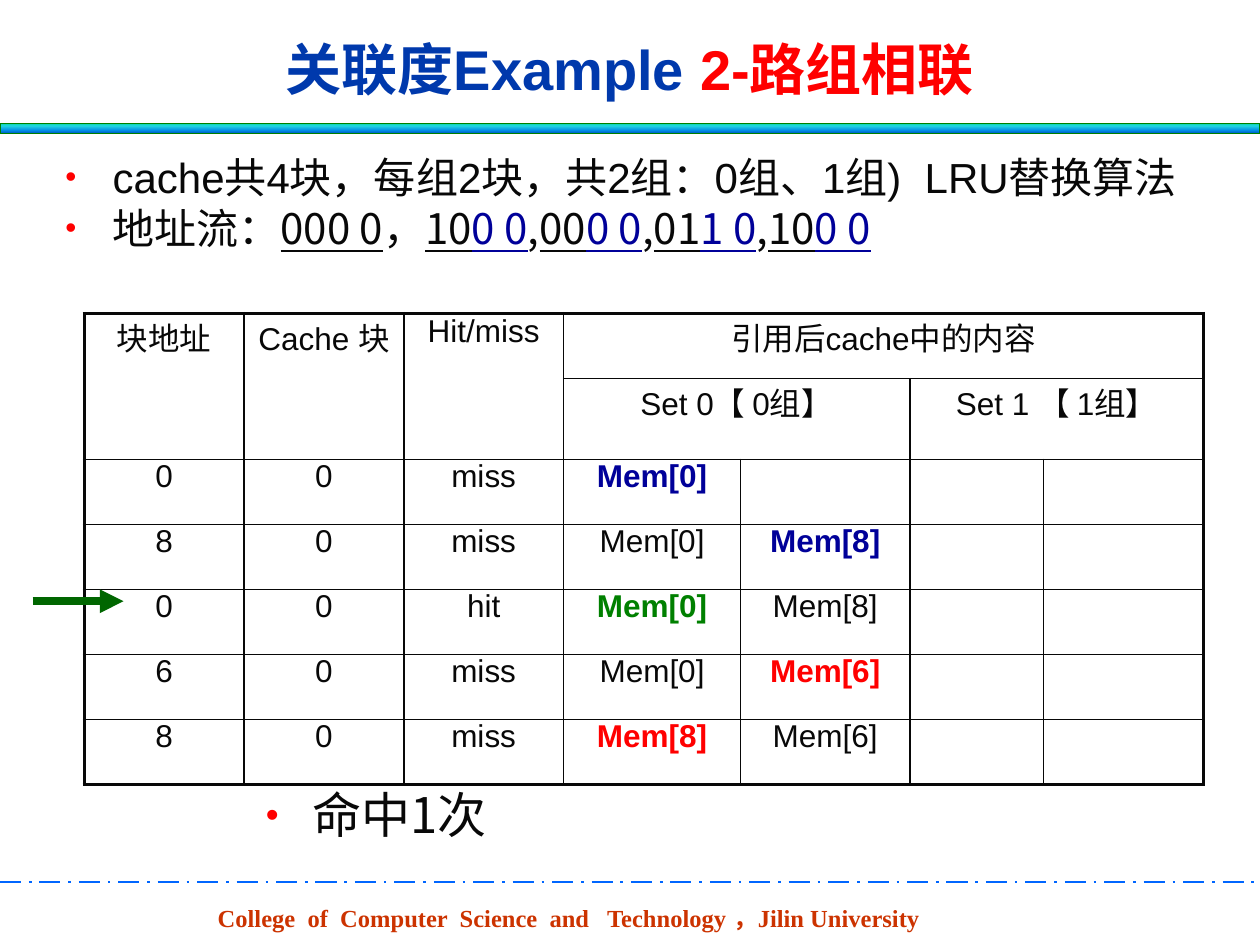
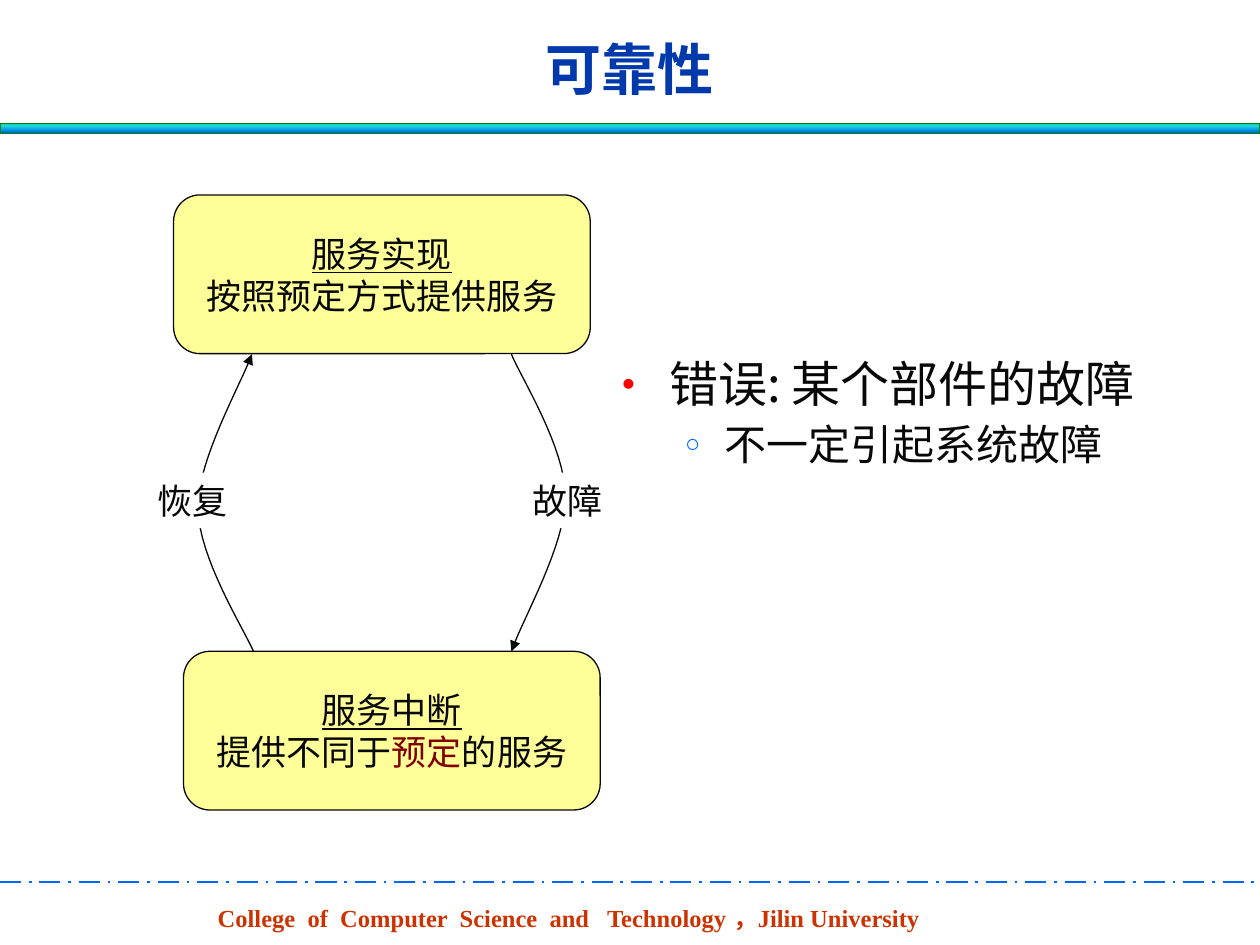
from dataclasses import dataclass
from typing import NamedTuple

from lxml.etree import SubElement
from pptx import Presentation
from pptx.dml.color import RGBColor
from pptx.enum.dml import MSO_LINE
from pptx.enum.shapes import MSO_CONNECTOR, MSO_SHAPE
from pptx.enum.text import MSO_ANCHOR, PP_ALIGN
from pptx.oxml.ns import qn
from pptx.util import Cm, Pt

COLORS = {
    "text": "080808", "title": "0039AC", "red": "FF0000", "navy": "000099",
    "green": "008000", "arrow": "006600", "maroon": "800000", "blue": "0066FF",
    "footer": "CC3300", "box": "FFFF99", "white": "FFFFFF",
}
BAND_STOPS = ((0, "03D4A8"), (25, "21D6E0"), (75, "0087E6"), (100, "005CBF"))
SANS, CJK, SERIF = "Arial", "Noto Sans CJK SC", "Times New Roman"
SLIDE_WIDTH, SLIDE_HEIGHT = 25.4, 19.05


class Box(NamedTuple):
    """Left, top, width and height in centimetres."""
    left: float
    top: float
    width: float
    height: float

    def lengths(self) -> tuple:
        return tuple(Cm(value) for value in self)


class Run(NamedTuple):
    text: str
    color: str | None = None
    underline: bool = False
    font: str | None = None


class Bullet(NamedTuple):
    char: str
    color: str
    percent: int
    indent: float
    hanging: float


DOT = Bullet("•", "red", 75, 0.95, 0.95)
RING = Bullet("○", "blue", 60, 2.06, 0.79)


@dataclass
class Line:
    """One paragraph and its style."""
    runs: list[Run]
    size: float
    font: str = SANS
    color: str = "text"
    bold: bool = False
    align: PP_ALIGN = PP_ALIGN.LEFT
    bullet: Bullet | None = None
    spacing: float | None = None
    before: float = 0


class Entry(NamedTuple):
    """A table cell: row and column spans follow its text."""
    row: int
    column: int
    text: str
    color: str = "text"
    rows: int = 1
    columns: int = 1


def rgb(name: str) -> RGBColor:
    return RGBColor.from_string(COLORS[name])


def add_bullet(paragraph, bullet: Bullet) -> None:
    properties = paragraph._p.get_or_add_pPr()
    properties.set("marL", str(Cm(bullet.indent)))
    properties.set("indent", str(-Cm(bullet.hanging)))
    color = SubElement(properties, qn("a:buClr"))
    SubElement(color, qn("a:srgbClr"), val=COLORS[bullet.color])
    SubElement(properties, qn("a:buSzPct"), val=str(bullet.percent * 1000))
    SubElement(properties, qn("a:buFont"), typeface=SANS)
    SubElement(properties, qn("a:buChar"), char=bullet.char)


def write(frame, lines: list[Line]) -> None:
    for index, line in enumerate(lines):
        paragraph = frame.add_paragraph() if index else frame.paragraphs[0]
        paragraph.alignment = line.align
        if line.spacing:
            paragraph.line_spacing = line.spacing
        if index and line.before:
            paragraph.space_before = Pt(line.before)
        if line.bullet:
            add_bullet(paragraph, line.bullet)
        font = paragraph.font
        font.name, font.size, font.bold = line.font, Pt(line.size), line.bold
        font.color.rgb = rgb(line.color)
        for part in line.runs:
            run = paragraph.add_run()
            run.text = part.text
            if part.color:
                run.font.color.rgb = rgb(part.color)
            if part.underline:
                run.font.underline = True
            if part.font:
                run.font.name = part.font


def add_text(slide, box: Box, lines: list[Line], anchor=MSO_ANCHOR.TOP, inset: float = 0.13) -> None:
    frame = slide.shapes.add_textbox(*box.lengths()).text_frame
    frame.word_wrap = True
    frame.vertical_anchor = anchor
    frame.margin_top = Cm(inset)
    write(frame, lines)


def add_block(slide, kind: MSO_SHAPE, box: Box, fill: str, lines: list[Line], outline: str | None = None) -> None:
    shape = slide.shapes.add_shape(kind, *box.lengths())
    shape.shadow.inherit = False
    shape.fill.solid()
    shape.fill.fore_color.rgb = rgb(fill)
    if outline:
        shape.line.color.rgb = rgb(outline)
        shape.line.width = Pt(0.75)
    else:
        shape.line.fill.background()
    shape.text_frame.word_wrap = False
    shape.text_frame.vertical_anchor = MSO_ANCHOR.MIDDLE
    write(shape.text_frame, lines)


def add_arrowhead(shape) -> None:
    SubElement(shape.line._get_or_add_ln(), qn("a:tailEnd"), type="triangle")


def add_line(slide, start: tuple, end: tuple, color: str, width: float):
    connector = slide.shapes.add_connector(MSO_CONNECTOR.STRAIGHT, *map(Cm, start + end))
    connector.line.color.rgb = rgb(color)
    connector.line.width = Pt(width)
    SubElement(connector._element.spPr, qn("a:effectLst"))
    return connector


def add_curved_arrow(slide, points: list[tuple], steps: int = 16) -> None:
    """Trace joined cubic curves: a start, then two controls and an end for each."""
    traced = []
    for first in range(0, len(points) - 1, 3):
        for step in range(1, steps + 1):
            t = step / steps
            weights = ((1 - t) ** 3, 3 * t * (1 - t) ** 2, 3 * t * t * (1 - t), t ** 3)
            controls = points[first:first + 4]
            traced.append(tuple(
                Cm(sum(weight * point[axis] for weight, point in zip(weights, controls)))
                for axis in (0, 1)))
    builder = slide.shapes.build_freeform(*map(Cm, points[0]))
    builder.add_line_segments(traced, close=False)
    shape = builder.convert_to_shape()
    shape.shadow.inherit = False
    shape.fill.background()
    shape.line.color.rgb = rgb("text")
    shape.line.width = Pt(0.75)
    add_arrowhead(shape)


def add_band(slide) -> None:
    band = slide.shapes.add_shape(MSO_SHAPE.RECTANGLE, *Box(0, 2.49, SLIDE_WIDTH, 0.2).lengths())
    band.shadow.inherit = False
    band.line.color.rgb = rgb("green")
    band.line.width = Pt(0.75)
    band.fill.gradient()
    band.fill.gradient_angle = 270
    stops = band._element.spPr.find(".//" + qn("a:gsLst"))
    for stop in list(stops):
        stops.remove(stop)
    for position, color in BAND_STOPS:
        stop = SubElement(stops, qn("a:gs"), pos=str(position * 1000))
        SubElement(stop, qn("a:srgbClr"), val=color)


def add_base_slide(presentation, title: list[Run]):
    slide = presentation.slides.add_slide(presentation.slide_layouts[6])
    footer = "College  of  Computer  Science  and   Technology ，Jilin University"
    add_text(slide, Box(4.14, 18.08, 15.04, 0.84),
             [Line([Run(footer)], 14, SERIF, "footer", bold=True)])
    rule = add_line(slide, (0, 17.78), (SLIDE_WIDTH, 17.78), "blue", 1.5)
    rule.line.dash_style = MSO_LINE.LONG_DASH_DOT
    add_band(slide)
    add_text(slide, Box(2.9, 0.53, 19.6, 1.68),
             [Line(title, 32, color="title", bold=True, align=PP_ALIGN.CENTER)], MSO_ANCHOR.MIDDLE)
    return slide


def add_borders(cell, edges: dict[str, bool]) -> None:
    """Draw the four borders; an edge marked True is on the outside and thick."""
    properties = cell._tc.get_or_add_tcPr()
    for side, outer in edges.items():
        border = SubElement(properties, qn(f"a:ln{side}"), w=str(Pt(2.25 if outer else 1)))
        fill = SubElement(border, qn("a:solidFill"))
        SubElement(fill, qn("a:srgbClr"), val=COLORS["text"])


def add_cache_table(slide, entries: list[Entry]) -> None:
    widths = (3.22, 3.22, 3.22, 3.57, 3.41, 2.7, 3.22)
    heights = (1.31, 1.63) + (1.31,) * 5
    box = Box(1.7, 6.32, sum(widths), sum(heights))
    table = slide.shapes.add_table(len(heights), len(widths), *box.lengths()).table
    table.first_row = table.horz_banding = False
    for column, width in zip(table.columns, widths):
        column.width = Cm(width)
    for row, height in zip(table.rows, heights):
        row.height = Cm(height)
    for entry in entries:
        cell = table.cell(entry.row, entry.column)
        bottom, right = entry.row + entry.rows, entry.column + entry.columns
        if entry.rows * entry.columns > 1:
            cell.merge(table.cell(bottom - 1, right - 1))
        cell.margin_top = cell.margin_bottom = 0
        add_borders(cell, {"L": entry.column == 0, "R": right == len(widths),
                           "T": entry.row == 0, "B": bottom == len(heights)})
        cell.fill.background()
        write(cell.text_frame, [Line([Run(entry.text)] if entry.text else [], 18, color=entry.color,
                                     bold=entry.color != "text", align=PP_ALIGN.CENTER)])


def cache_entries() -> list[Entry]:
    entries = [Entry(0, column, text, rows=2)
               for column, text in enumerate(("块地址", "Cache 块", "Hit/miss"))]
    entries += [Entry(0, 3, "引用后cache中的内容", columns=4),
                Entry(1, 3, "Set 0【 0组】", columns=2),
                Entry(1, 5, "Set 1 【 1组】", columns=2)]
    accesses = (  # address, result, the two blocks of set 0, changed block, its colour
        ("0", "miss", "Mem[0]", "", 0, "navy"),
        ("8", "miss", "Mem[0]", "Mem[8]", 1, "navy"),
        ("0", "hit", "Mem[0]", "Mem[8]", 0, "green"),
        ("6", "miss", "Mem[0]", "Mem[6]", 1, "red"),
        ("8", "miss", "Mem[8]", "Mem[6]", 0, "red"),
    )
    for row, (address, result, first, second, changed, color) in enumerate(accesses, 2):
        for column, text in enumerate((address, "0", result, first, second, "", "")):
            entries.append(Entry(row, column, text, color if column == 3 + changed else "text"))
    return entries


def add_cache_slide(presentation) -> None:
    slide = add_base_slide(presentation, [Run("关联度Example "), Run("2-路组相联", "red")])
    stream = [Run("地址流："), Run("000 0", underline=True), Run("，")]
    for index, (tag, offset) in enumerate((("10", "0 0"), ("00", "0 0"), ("01", "1 0"), ("10", "0 0"))):
        if index:
            stream.append(Run(","))
        stream += [Run(tag, underline=True), Run(offset, "navy", True)]
    add_text(slide, Box(1.07, 2.92, 23.83, 3), [
        Line([Run("cache共4块，每组2块，共2组：0组、1组)  LRU替换算法")], 24, bullet=DOT, spacing=0.8),
        Line(stream, 24, CJK, bullet=DOT, spacing=0.8, before=6),
    ], inset=0.33)
    add_cache_table(slide, cache_entries())
    add_arrowhead(add_line(slide, (0.66, 12.12), (2.49, 12.12), "arrow", 4.5))
    add_text(slide, Box(5.11, 15.82, 10.59, 1.83),
             [Line([Run("命中1次")], 28, CJK, bullet=DOT, spacing=0.9)])


def add_reliability_slide(presentation) -> None:
    slide = add_base_slide(presentation, [Run("可靠性")])
    add_text(slide, Box(12.29, 7.14, 11.81, 10.21), [
        Line([Run("错误: 某个部件的故障")], 28, CJK, bullet=DOT, spacing=0.9),
        Line([Run("不一定引起系统故障")], 24, CJK, bullet=RING, spacing=0.9, before=6),
    ])
    states = (
        (3.5, 3.93, "服务实现", [Run("按照预定方式提供服务")]),
        (3.7, 13.13, "服务中断", [Run("提供不同于"), Run("预定", "maroon"), Run("的服务")]),
    )
    for left, top, name, detail in states:
        add_block(slide, MSO_SHAPE.ROUNDED_RECTANGLE, Box(left, top, 8.4, 3.2), "box",
                  [Line([Run(name, underline=True)], 20, align=PP_ALIGN.CENTER),
                   Line(detail, 20, align=PP_ALIGN.CENTER)], "text")
    transitions = (
        ("故障", 10.49, PP_ALIGN.LEFT, [(10.31, 7.14), (10.49, 7.59), (11.4, 9.02), (11.4, 10.01),
                                      (11.4, 11), (10.54, 12.47), (10.31, 13.13)]),
        ("恢复", 2.9, PP_ALIGN.RIGHT, [(5.11, 13.13), (4.9, 12.65), (4.01, 11.25), (3.99, 10.24),
                                     (3.99, 9.25), (4.85, 7.77), (5.08, 7.14)]),
    )
    for name, left, align, curve in transitions:
        add_curved_arrow(slide, curve)
        add_block(slide, MSO_SHAPE.RECTANGLE, Box(left, 9.53, 1.93, 1.12), "white",
                  [Line([Run(name)], 20, align=align)])


def main() -> None:
    presentation = Presentation()
    presentation.slide_width, presentation.slide_height = Cm(SLIDE_WIDTH), Cm(SLIDE_HEIGHT)
    add_cache_slide(presentation)
    add_reliability_slide(presentation)
    presentation.save("out.pptx")


if __name__ == "__main__":
    main()
